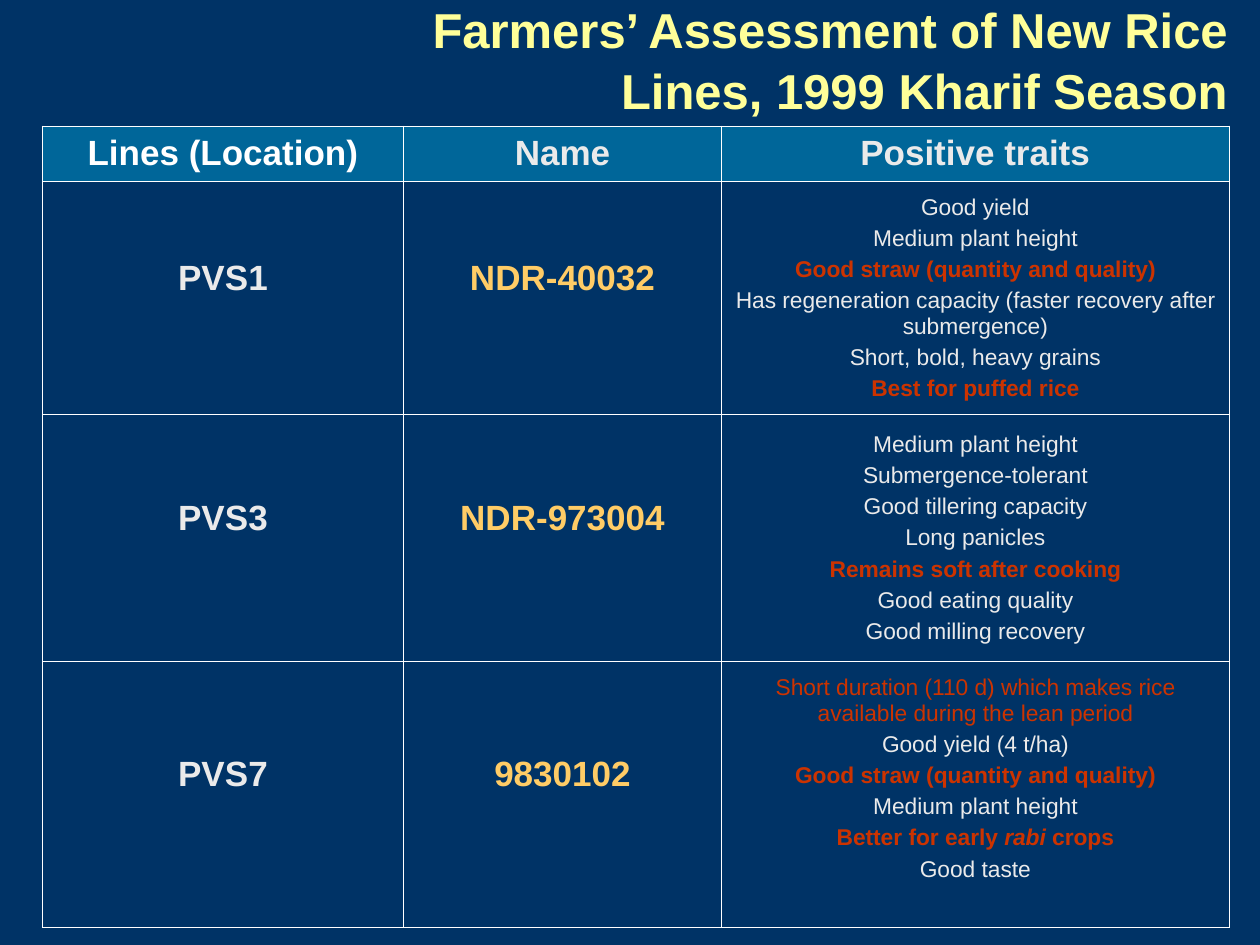
from dataclasses import dataclass

from lxml import etree
from pptx import Presentation
from pptx.dml.color import RGBColor
from pptx.enum.text import MSO_ANCHOR, MSO_AUTO_SIZE, PP_ALIGN
from pptx.oxml.ns import qn
from pptx.util import Cm, Pt

CENTER, RIGHT = PP_ALIGN.CENTER, PP_ALIGN.RIGHT
MIDDLE = MSO_ANCHOR.MIDDLE
NO_AUTOFIT = MSO_AUTO_SIZE.NONE

NAVY = RGBColor(0x00, 0x33, 0x66)
TEAL = RGBColor(0x00, 0x66, 0x99)
WHITE = RGBColor(0xFF, 0xFF, 0xFF)
PALE = RGBColor(0xEA, 0xEA, 0xEA)
YELLOW = RGBColor(0xFF, 0xFF, 0x99)
AMBER = RGBColor(0xFF, 0xCC, 0x66)
RED = RGBColor(0xCC, 0x33, 0x00)

FONT = "Arial"
HEAD_SIZE, TRAIT_SIZE = 20, 13
PAD_BOTTOM = 0.13
NAME_PAD = 0.94  # lifts the line names above the middle of the row
COL_WIDTHS = (7.29, 6.4, 10.24)
ROW_HEIGHTS = (1.12, 4.7, 4.97, 5.36)


@dataclass
class Run:
    text: str
    color: RGBColor = PALE
    bold: bool = False
    italic: bool = False
    size: float = TRAIT_SIZE


@dataclass
class RiceLine:
    location: str
    name: str
    traits: list[list[Run]]
    trait_pad: float = PAD_BOTTOM


def heading(text: str, color: RGBColor = PALE) -> list[list[Run]]:
    return [[Run(text, color, bold=True, size=HEAD_SIZE)]]


def plain(text: str) -> list[Run]:
    return [Run(text)]


def valued(text: str) -> list[Run]:
    return [Run(text, RED, bold=True)]


HEADERS = (("Lines (Location)", WHITE), ("Name", PALE), ("Positive traits", PALE))
RICE_LINES = [
    RiceLine("PVS1", "NDR-40032", [
        plain("Good yield"),
        plain("Medium plant height"),
        valued("Good straw (quantity and quality)"),
        plain("Has regeneration capacity (faster recovery after submergence)"),
        plain("Short, bold, heavy grains"),
        valued("Best for puffed rice"),
    ]),
    RiceLine("PVS3", "NDR-973004", [
        plain("Medium plant height"),
        plain("Submergence-tolerant"),
        plain("Good tillering capacity"),
        plain("Long panicles"),
        valued("Remains soft after cooking"),
        plain("Good eating quality"),
        plain("Good milling recovery"),
    ]),
    RiceLine("PVS7", "9830102", [
        [Run("Short duration (110 d) which makes rice available "
             "during the lean period", RED)],
        plain("Good yield (4 t/ha)"),
        valued("Good straw (quantity and quality)"),
        plain("Medium plant height"),
        [Run("Better for early ", RED, bold=True),
         Run("rabi", RED, bold=True, italic=True),
         Run(" crops", RED, bold=True)],
        plain("Good taste"),
    ], trait_pad=0.76),
]


def add_runs(p, runs: list[Run]) -> None:
    for run in runs:
        r = p.add_run()
        r.text = run.text
        r.font.name = FONT
        r.font.size = Pt(run.size)
        r.font.bold = run.bold
        r.font.italic = run.italic
        r.font.color.rgb = run.color


def add_borders(cell) -> None:
    tc_pr = cell._tc.get_or_add_tcPr()
    for i, side in enumerate(("a:lnL", "a:lnR", "a:lnT", "a:lnB")):
        ln = etree.Element(qn(side), w=str(Pt(0.45)))
        fill = etree.SubElement(ln, qn("a:solidFill"))
        etree.SubElement(fill, qn("a:srgbClr"), val=str(WHITE))
        tc_pr.insert(i, ln)


def fill_cell(cell, paragraphs: list[list[Run]], space: float = 0,
              pad: float = PAD_BOTTOM, fill: RGBColor | None = None) -> None:
    cell.vertical_anchor = MIDDLE
    cell.margin_left = cell.margin_right = Cm(0.25)
    cell.margin_top, cell.margin_bottom = Cm(0.13), Cm(pad)
    if fill is None:
        cell.fill.background()
    else:
        cell.fill.solid()
        cell.fill.fore_color.rgb = fill
    tf = cell.text_frame
    for i, runs in enumerate(paragraphs):
        p = tf.add_paragraph() if i else tf.paragraphs[0]
        p.alignment = CENTER
        p.space_before = Pt(space)
        add_runs(p, runs)
    add_borders(cell)


def add_title(s) -> None:
    sp = s.shapes.title
    sp.left, sp.top, sp.width, sp.height = Cm(6.15), Cm(0), Cm(18.85), Cm(2.34)
    tf = sp.text_frame
    tf.word_wrap = True
    tf.auto_size = NO_AUTOFIT
    tf.vertical_anchor = MIDDLE
    p = tf.paragraphs[0]
    p.alignment = RIGHT
    p.line_spacing = 1.05
    add_runs(p, [Run("Farmers’ Assessment of New Rice Lines, 1999 Kharif Season",
                     YELLOW, bold=True, size=28)])


def add_traits_table(s) -> None:
    table = s.shapes.add_table(len(ROW_HEIGHTS), len(COL_WIDTHS), Cm(0.85), Cm(2.54),
                               Cm(sum(COL_WIDTHS)), Cm(sum(ROW_HEIGHTS))).table
    table.first_row = table.horz_banding = False
    for col, width in zip(table.columns, COL_WIDTHS):
        col.width = Cm(width)
    for row, height in zip(table.rows, ROW_HEIGHTS):
        row.height = Cm(height)

    # Header row
    for c, (text, color) in enumerate(HEADERS):
        fill_cell(table.cell(0, c), heading(text, color), fill=TEAL)

    # One row per rice line
    for r, line in enumerate(RICE_LINES, start=1):
        fill_cell(table.cell(r, 0), heading(line.location), pad=NAME_PAD)
        fill_cell(table.cell(r, 1), heading(line.name, AMBER), pad=NAME_PAD)
        fill_cell(table.cell(r, 2), line.traits, space=3.3, pad=line.trait_pad)


def main() -> None:
    prs = Presentation()
    prs.slide_width, prs.slide_height = Cm(25.4), Cm(19.05)
    s = prs.slides.add_slide(prs.slide_layouts[5])
    s.background.fill.solid()
    s.background.fill.fore_color.rgb = NAVY
    add_title(s)
    add_traits_table(s)
    prs.save("out.pptx")


if __name__ == "__main__":
    main()
